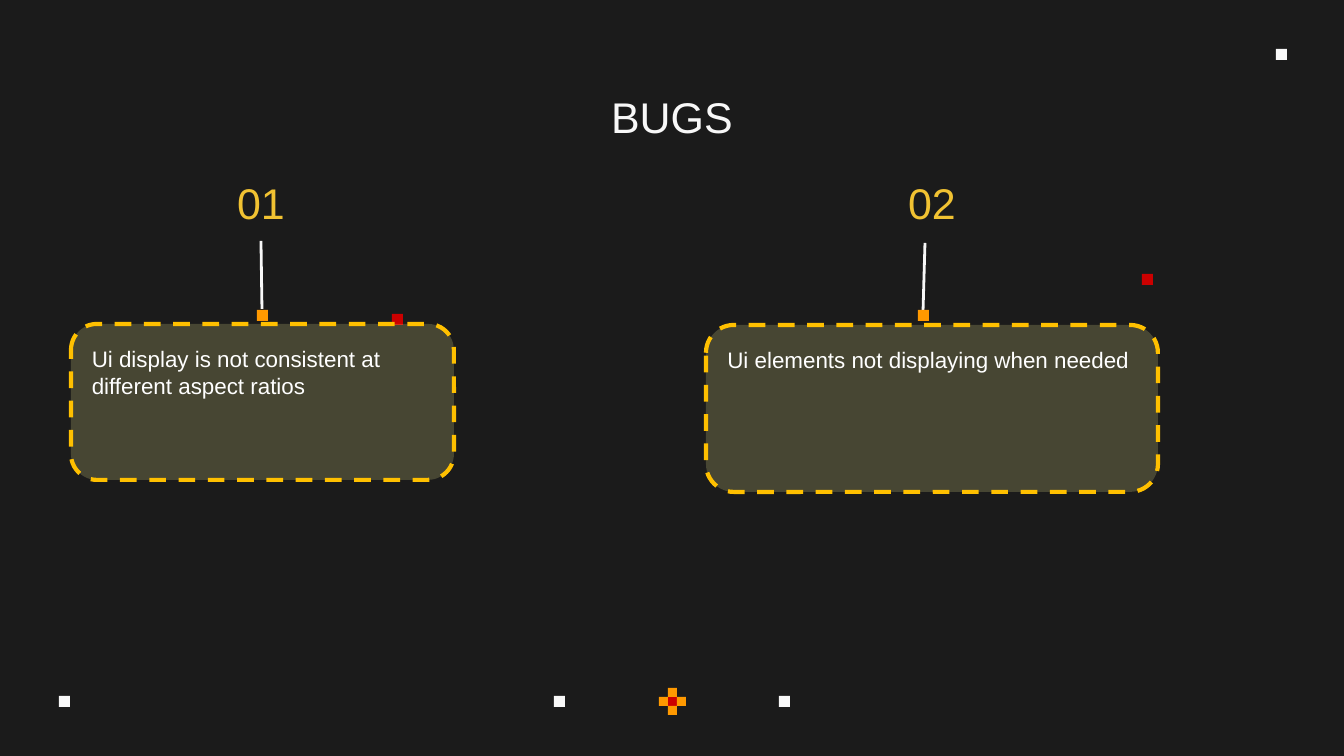
from dataclasses import dataclass

from lxml.etree import SubElement
from pptx import Presentation
from pptx.dml.color import RGBColor
from pptx.enum.dml import MSO_LINE
from pptx.enum.shapes import MSO_CONNECTOR, MSO_SHAPE as Shape
from pptx.enum.text import MSO_ANCHOR as Anchor, PP_ALIGN as Align
from pptx.oxml.ns import qn
from pptx.util import Pt


@dataclass(frozen=True)
class Theme:
    back: str = "1B1B1B"
    light: str = "F8F8F8"
    white: str = "FFFFFF"
    red: str = "CC0000"
    orange: str = "FF9900"
    gold: str = "F1C232"
    edge: str = "FFC000"
    card: str = "FAF396"
    font: str = "Arial"
    head: int = 23
    body: int = 12


theme = Theme()
WIDE, HIGH = 1344, 756
UNIT = 914400 * 10 / WIDE
DOT, CELL = 11, 9
INSET = 0.1 * 914400

TITLE = ("BUGS", (105, 77, 1134, 69))
BUGS = [
    dict(num="01", label=(192, 145, 138, 97), stem=(262, 309, 261, 241),
         dot=(257, 310), card=(71, 324, 383, 156),
         text="Ui display is not consistent at different aspect ratios"),
    dict(num="02", label=(863, 145, 138, 97), stem=(923, 313, 925, 243),
         dot=(918, 310), card=(706, 325, 452, 167),
         text="Ui elements not displaying when needed"),
]
WHITE_DOTS = [(554, 696), (779, 696), (59, 696), (1276, 49)]
RED_DOTS = [(392, 314), (1142, 274)]
CROSS = (659, 688)
ARMS = [(1, 0), (0, 1), (2, 1), (1, 2)]


def emu(*vals):
    return [round(v * UNIT) for v in vals]


def rgb(code):
    return RGBColor.from_string(code)


def add_box(kind, at, fill):
    box = slide.shapes.add_shape(kind, *emu(*at))
    box.shadow.inherit = False
    box.fill.solid()
    box.fill.fore_color.rgb = rgb(fill)
    box.line.fill.background()
    return box


def add_dot(x, y, fill, size=DOT):
    add_box(Shape.RECTANGLE, (x, y, size, size), fill)


def put_text(box, text, size=theme.body, color=theme.white,
             align=Align.LEFT, anchor=Anchor.TOP):
    frame = box.text_frame
    frame.word_wrap = True
    frame.vertical_anchor = anchor
    frame.margin_left = frame.margin_right = round(INSET)
    frame.margin_top = frame.margin_bottom = round(INSET)
    para = frame.paragraphs[0]
    para.alignment = align
    run = para.add_run()
    run.text = text
    run.font.name = theme.font
    run.font.size = Pt(size)
    run.font.color.rgb = rgb(color)


def add_head(text, at, **fmt):
    box = slide.shapes.add_textbox(*emu(*at))
    put_text(box, text, size=theme.head, align=Align.CENTER, **fmt)


def add_stem(ends):
    stem = slide.shapes.add_connector(MSO_CONNECTOR.STRAIGHT, *emu(*ends))
    stem.line.color.rgb = rgb(theme.light)
    stem.line.width = Pt(1.5)
    SubElement(stem.element.spPr, qn("a:effectLst"))


def add_card(at, text):
    """Draw a dashed, see-through note with its text."""
    card = add_box(Shape.ROUNDED_RECTANGLE, at, theme.card)
    tint = card.element.spPr.find(qn("a:solidFill"))[0]
    SubElement(tint, qn("a:alpha"), val="20000")
    card.line.color.rgb = rgb(theme.edge)
    card.line.width = Pt(2.25)
    card.line.dash_style = MSO_LINE.DASH
    put_text(card, text)


def add_cross(x, y):
    add_dot(x + CELL, y + CELL, theme.red, CELL)
    for col, row in ARMS:
        add_dot(x + col * CELL, y + row * CELL, theme.orange, CELL)


deck = Presentation()
deck.slide_width, deck.slide_height = emu(WIDE, HIGH)
slide = deck.slides.add_slide(deck.slide_layouts[6])
slide.background.fill.solid()
slide.background.fill.fore_color.rgb = rgb(theme.back)

for spot in WHITE_DOTS:
    add_dot(*spot, theme.light)
add_cross(*CROSS)
add_head(*TITLE, color=theme.light)
for spot in RED_DOTS:
    add_dot(*spot, theme.red)
for bug in BUGS:
    add_head(bug["num"], bug["label"], color=theme.gold, anchor=Anchor.BOTTOM)
    add_stem(bug["stem"])
    add_dot(*bug["dot"], theme.orange)
    add_card(bug["card"], bug["text"])

deck.save("out.pptx")
